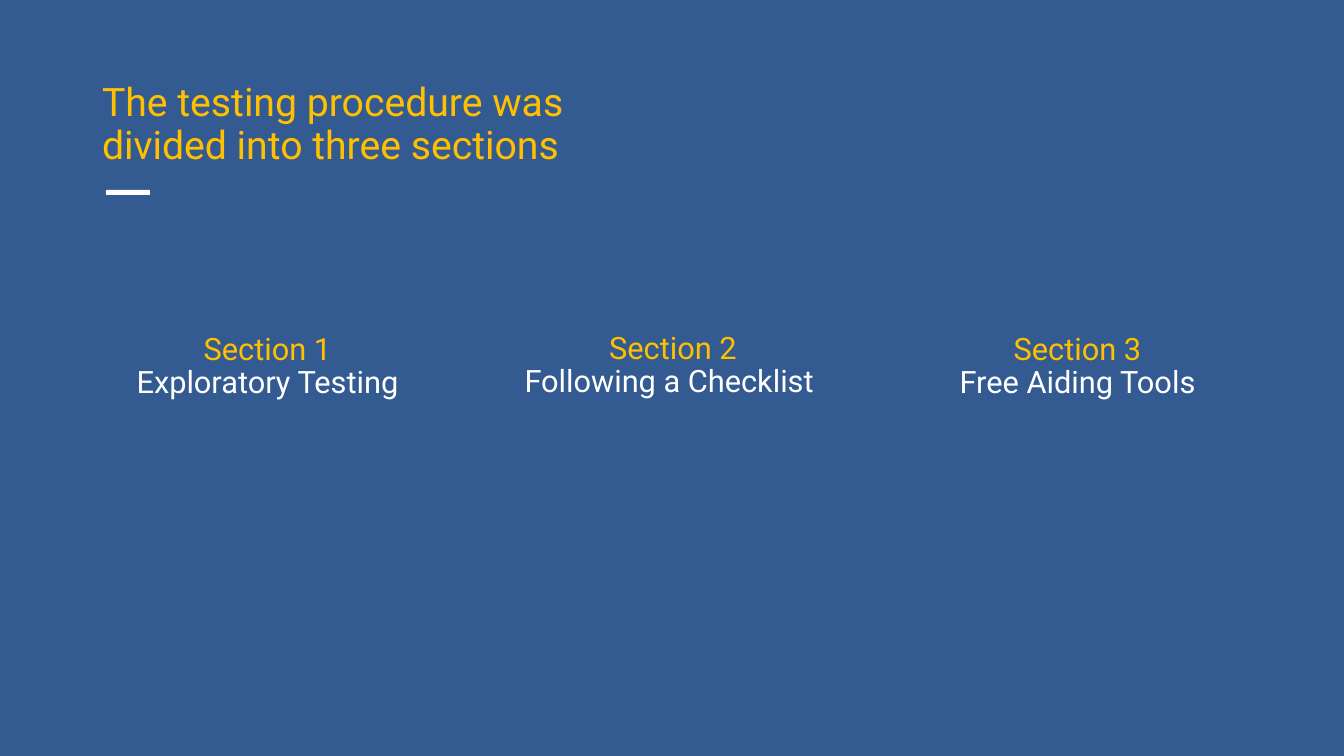
import pptx
import pptx.util
import pptx.dml.color
import pptx.enum.shapes
import pptx.enum.text

# Content
TITLE = "The testing procedure was divided into three sections"
PARTS = [  # heading, label, box top, box width, filled
    ("Section 1", "Exploratory Testing", 265, 347, True),
    ("Section 2", "Following a Checklist ", 264, 484, False),
    ("Section 3", "Free Aiding Tools", 265, 333, False),
]
BLUE, GOLD, WHITE = "335B91", "FFC000", "FFFFFF"

# Layout in px
WIDE, HIGH = 1344, 756
FIRST, STEP, TALL = 268, 405, 204  # first centre, centre to centre, box height
SCALE = 12192000 / WIDE

ALIGN = pptx.enum.text.PP_ALIGN
ANCHOR = pptx.enum.text.MSO_ANCHOR
SHAPE = pptx.enum.shapes.MSO_SHAPE


def px(*nums):
    return [pptx.util.Emu(round(n * SCALE)) for n in nums]


def color(text):
    return pptx.dml.color.RGBColor.from_string(text)


def paint(fill, tint):
    fill.solid()
    fill.fore_color.rgb = color(tint)


def format_all(item, values):
    for name, value in values.items():
        setattr(item, name, value)


def block(kind, place, tint):
    shape = slide.shapes.add_shape(kind, *px(*place))
    shape.shadow.inherit = False
    paint(shape.fill, tint)
    shape.line.fill.background()
    return shape


def write(frame, lines, size, align, anchor):
    format_all(frame, {"word_wrap": True, "vertical_anchor": anchor,
                       "auto_size": pptx.enum.text.MSO_AUTO_SIZE.NONE})
    for i, (text, tint) in enumerate(lines):
        para = frame.add_paragraph() if i else frame.paragraphs[0]
        format_all(para, {"alignment": align, "line_spacing": 0.9,
                          "space_before": pptx.util.Pt(0)})
        run = para.add_run()
        run.text = text
        format_all(run.font, {"name": "Roboto", "size": pptx.util.Pt(size)})
        run.font.color.rgb = color(tint)


deck = pptx.Presentation()
deck.slide_width, deck.slide_height = px(WIDE, HIGH)
slide = deck.slides.add_slide(deck.slide_layouts[5])
paint(slide.background.fill, BLUE)

# Title
title = slide.shapes.title
title.left, title.top, title.width, title.height = px(92, 78, 580, 103)
write(title.text_frame, [(TITLE, GOLD)], 28, ALIGN.LEFT, ANCHOR.TOP)

# Three sections on evenly spaced centres
for i, (head, label, top, wide, filled) in enumerate(PARTS):
    place = FIRST + i * STEP - (wide + 1) // 2, top, wide, TALL
    if filled:
        box = block(SHAPE.RECTANGLE, place, BLUE)
    else:
        box = slide.shapes.add_textbox(*px(*place))
    write(box.text_frame, [(head, GOLD), (label, WHITE)], 22,
          ALIGN.CENTER, ANCHOR.MIDDLE)

# Short bar under the title
block(SHAPE.ROUNDED_RECTANGLE, (106, 190, 44, 5), WHITE)

deck.save("out.pptx")
